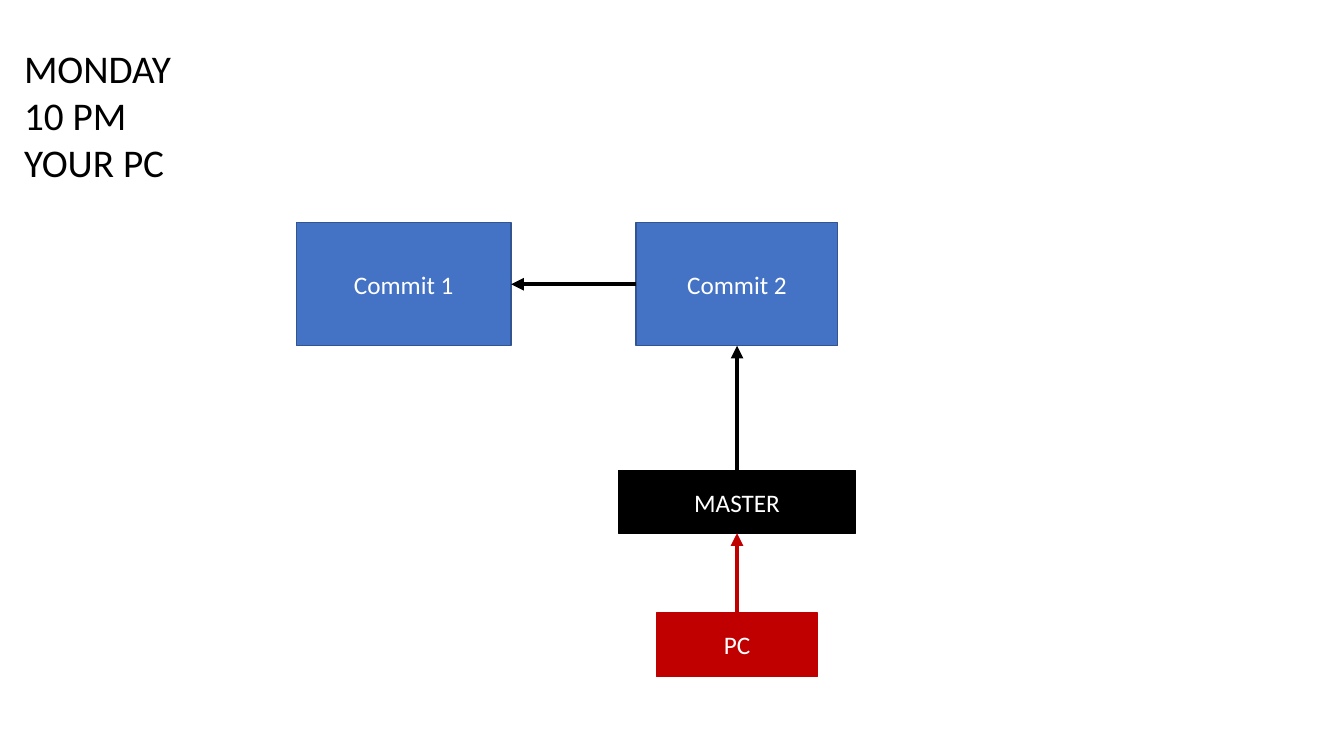
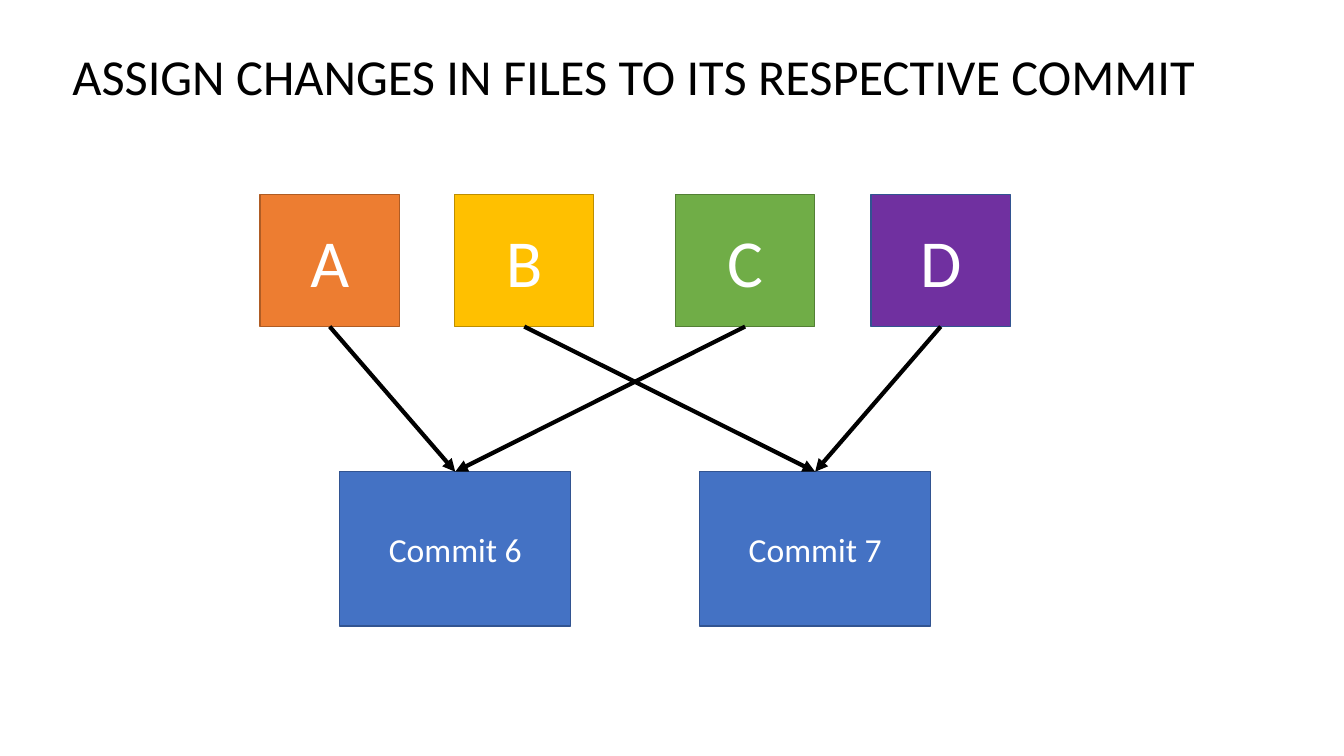
import pptx
import pptx.dml.color
import pptx.enum.shapes
import pptx.enum.text
import pptx.oxml.ns
import pptx.util
from lxml import etree

Inches = pptx.util.Inches
Pt = pptx.util.Pt

FONT = "Calibri"
BLACK, WHITE, RED, PURPLE = "000000", "FFFFFF", "C00000", "7030A0"
BLUE, BLUE_EDGE = "4472C4", "325491"
ORANGE, ORANGE_EDGE = "ED7D31", "AF5C24"
GOLD, GOLD_EDGE = "FFC000", "BD8E00"
GREEN, GREEN_EDGE = "70AD47", "538035"

# Connection sites of a rectangle
TOP, LEFT, BOTTOM, RIGHT = range(4)


def rgb(value):
    return pptx.dml.color.RGBColor.from_string(value)


class Deck:
    """Holds the presentation, its style and the current slide."""

    def __init__(self):
        self.prs = pptx.Presentation()
        self.prs.slide_width = Inches(13.33)
        self.prs.slide_height = Inches(7.5)
        self.s = None

    def slide(self):
        self.s = self.prs.slides.add_slide(self.prs.slide_layouts[6])

    def set_text(self, tf, text, size, color, align):
        tf.word_wrap = True
        tf.text = text
        for p in tf.paragraphs:
            p.alignment = align
            for r in p.runs:
                r.font.name = FONT
                r.font.size = Pt(size)
                r.font.color.rgb = rgb(color)

    def heading(self, text, x, y, w, h, size):
        sp = self.s.shapes.add_textbox(Inches(x), Inches(y), Inches(w), Inches(h))
        self.set_text(sp.text_frame, text, size, BLACK, pptx.enum.text.PP_ALIGN.LEFT)
        sp.text_frame.auto_size = pptx.enum.text.MSO_AUTO_SIZE.SHAPE_TO_FIT_TEXT

    def box(self, text, x, y, w, h, fill=BLUE, edge=BLUE_EDGE, size=18):
        sp = self.s.shapes.add_shape(
            pptx.enum.shapes.MSO_SHAPE.RECTANGLE,
            Inches(x), Inches(y), Inches(w), Inches(h))
        sp.shadow.inherit = False
        sp.fill.solid()
        sp.fill.fore_color.rgb = rgb(fill)
        sp.line.color.rgb = rgb(edge)
        sp.line.width = Pt(1)
        self.set_text(sp.text_frame, text, size, WHITE, pptx.enum.text.PP_ALIGN.CENTER)
        sp.text_frame.vertical_anchor = pptx.enum.text.MSO_ANCHOR.MIDDLE
        return sp

    def arrow(self, start, start_site, end, end_site, color=BLACK):
        line = self.s.shapes.add_connector(
            pptx.enum.shapes.MSO_CONNECTOR.STRAIGHT, 0, 0, 0, 0)
        line.begin_connect(start, start_site)
        line.end_connect(end, end_site)
        line.line.color.rgb = rgb(color)
        line.line.width = Pt(3)
        qn = pptx.oxml.ns.qn
        props = line.element.spPr
        etree.SubElement(props.find(qn("a:ln")), qn("a:tailEnd"), type="triangle")
        etree.SubElement(props, qn("a:effectLst"))


def branch_slide(deck):
    deck.slide()
    deck.heading("MONDAY\n10 PM\nYOUR PC", 0.14, 0.39, 4.37, 1.51, 28)

    # Commits, with the branch and the computer centred below the second
    center = 7.31
    commit_1 = deck.box("Commit 1", 2.94, 2.21, 2.13, 1.22)
    commit_2, master, pc = [
        deck.box(name, center - w / 2, y, w, h, fill, edge)
        for name, y, w, h, fill, edge in (
            ("Commit 2", 2.21, 2, 1.22, BLUE, BLUE_EDGE),
            ("MASTER", 4.67, 2.35, 0.62, BLACK, BLACK),
            ("PC", 6.08, 1.6, 0.63, RED, RED))]

    # Pointers
    deck.arrow(commit_2, LEFT, commit_1, RIGHT)
    deck.arrow(master, TOP, commit_2, BOTTOM)
    deck.arrow(pc, TOP, master, BOTTOM, RED)


def assign_slide(deck):
    deck.slide()
    deck.heading("ASSIGN CHANGES IN FILES TO ITS RESPECTIVE COMMIT",
                 0.62, 0.4, 12.04, 0.71, 36)

    # Changed files
    files = [("A", 2.58, ORANGE, ORANGE_EDGE), ("B", 4.51, GOLD, GOLD_EDGE),
             ("C", 6.7, GREEN, GREEN_EDGE), ("D", 8.64, PURPLE, BLUE_EDGE)]
    boxes = [deck.box(name, x, 1.93, 1.38, 1.31, fill, edge, 48)
             for name, x, fill, edge in files]

    # Commits take the files in turn
    commits = [deck.box(name, x, 4.68, 2.29, 1.53, size=24)
               for name, x in (("Commit 6", 3.37), ("Commit 7", 6.94))]
    for i, box in enumerate(boxes):
        deck.arrow(box, BOTTOM, commits[i % 2], TOP)


def main():
    deck = Deck()
    branch_slide(deck)
    assign_slide(deck)
    deck.prs.save("out.pptx")


if __name__ == "__main__":
    main()
